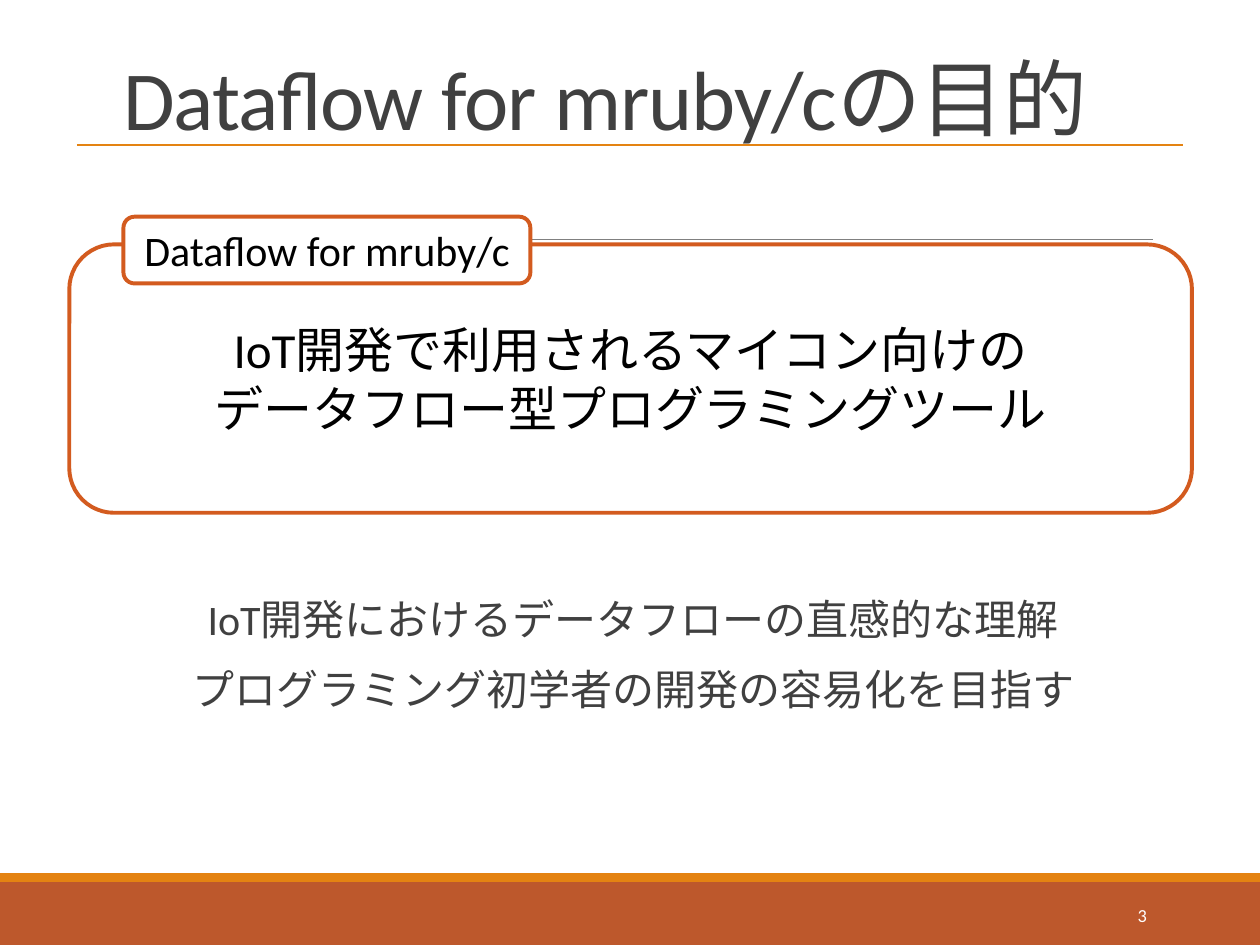
from lxml import etree
from pptx import Presentation
from pptx.dml.color import RGBColor
from pptx.enum.shapes import MSO_CONNECTOR, MSO_SHAPE
from pptx.enum.text import MSO_ANCHOR, PP_ALIGN
from pptx.oxml.ns import qn
from pptx.util import Inches, Pt

RECT, ROUND = MSO_SHAPE.RECTANGLE, MSO_SHAPE.ROUNDED_RECTANGLE
STRAIGHT = MSO_CONNECTOR.STRAIGHT
TOP, MIDDLE = MSO_ANCHOR.TOP, MSO_ANCHOR.MIDDLE
LEFT, CENTER, RIGHT = PP_ALIGN.LEFT, PP_ALIGN.CENTER, PP_ALIGN.RIGHT
BLACK = RGBColor(0x00, 0x00, 0x00)
WHITE = RGBColor(0xFF, 0xFF, 0xFF)
DARK = RGBColor(0x40, 0x40, 0x40)
GRAY = RGBColor(0x80, 0x80, 0x80)
BROWN = RGBColor(0xBD, 0x58, 0x2C)
ORANGE = RGBColor(0xE4, 0x83, 0x12)
RUST = RGBColor(0xD3, 0x5B, 0x1F)


class Deck:
    font = "Calibri"

    def __init__(self, slide):
        self.shapes = slide.shapes

    def label(self, shape, lines, size, color, align, anchor,
              space=None, before=0, after=0, track=0):
        frame = shape.text_frame
        frame.word_wrap = True
        frame.vertical_anchor = anchor
        for i, line in enumerate(lines):
            para = frame.add_paragraph() if i else frame.paragraphs[0]
            run = para.add_run()
            run.text = line
            if track:
                run._r.get_or_add_rPr().set("spc", str(track))
            para.alignment = align
            para.line_spacing = space
            para.space_before = Pt(before if i else 0)
            para.space_after = Pt(after)
            para.font.name = self.font
            para.font.size = Pt(size)
            para.font.color.rgb = color
        return frame

    def text(self, x, y, w, h, lines, size, color, align, anchor=TOP, **gaps):
        box = self.shapes.add_textbox(Inches(x), Inches(y), Inches(w), Inches(h))
        return self.label(box, lines, size, color, align, anchor, **gaps)

    def bar(self, y, h, color):
        bar = self.shapes.add_shape(RECT, 0, Inches(y), Inches(10), Inches(h))
        bar.shadow.inherit = False
        bar.fill.solid()
        bar.fill.fore_color.rgb = color
        bar.line.fill.background()

    def frame(self, x, y, w, h, lines, size, fill=None):
        box = self.shapes.add_shape(ROUND, Inches(x), Inches(y), Inches(w), Inches(h))
        box.shadow.inherit = False
        if fill is None:
            box.fill.background()
        else:
            box.fill.solid()
            box.fill.fore_color.rgb = fill
        box.line.color.rgb = RUST
        box.line.width = Pt(2.25)
        self.label(box, lines, size, BLACK, CENTER, MIDDLE)

    def rule(self, x, y, end, color, width):
        line = self.shapes.add_connector(
            STRAIGHT, Inches(x), Inches(y), Inches(end), Inches(y))
        line.line.color.rgb = color
        line.line.width = Pt(width)
        etree.SubElement(line._element.spPr, qn("a:effectLst"))


def main():
    show = Presentation()
    show.slide_width, show.slide_height = Inches(10), Inches(7.5)
    deck = Deck(show.slides.add_slide(show.slide_layouts[6]))

    deck.bar(7, 0.5, BROWN)
    deck.bar(6.93, 0.07, ORANGE)
    deck.rule(0.98, 1.9, 9.15, GRAY, 0.5)

    goals = deck.text(
        0.9, 4.71, 8.25, 1.71,
        ["IoT開発におけるデータフローの直感的な理解",
         "プログラミング初学者の開発の容易化を目指す"],
        24, DARK, CENTER, space=0.9, before=12, after=2)
    goals.margin_left = goals.margin_right = 0

    deck.text(8.12, 7.06, 1.08, 0.4, ["3"], 10.5, WHITE, RIGHT, MIDDLE)
    deck.frame(0.55, 1.94, 8.91, 2.13,
               ["IoT開発で利用されるマイコン向けの",
                "データフロー型プログラミングツール"], 28)
    deck.text(0.88, 0.44, 8.25, 0.78, ["Dataflow for mruby/cの目的"],
              48, DARK, LEFT, space=0.85, track=-50)
    deck.rule(0.61, 1.15, 9.39, ORANGE, 1)
    deck.frame(0.98, 1.72, 3.23, 0.53, ["Dataflow for mruby/c"], 24, WHITE)

    show.save("out.pptx")


if __name__ == "__main__":
    main()
